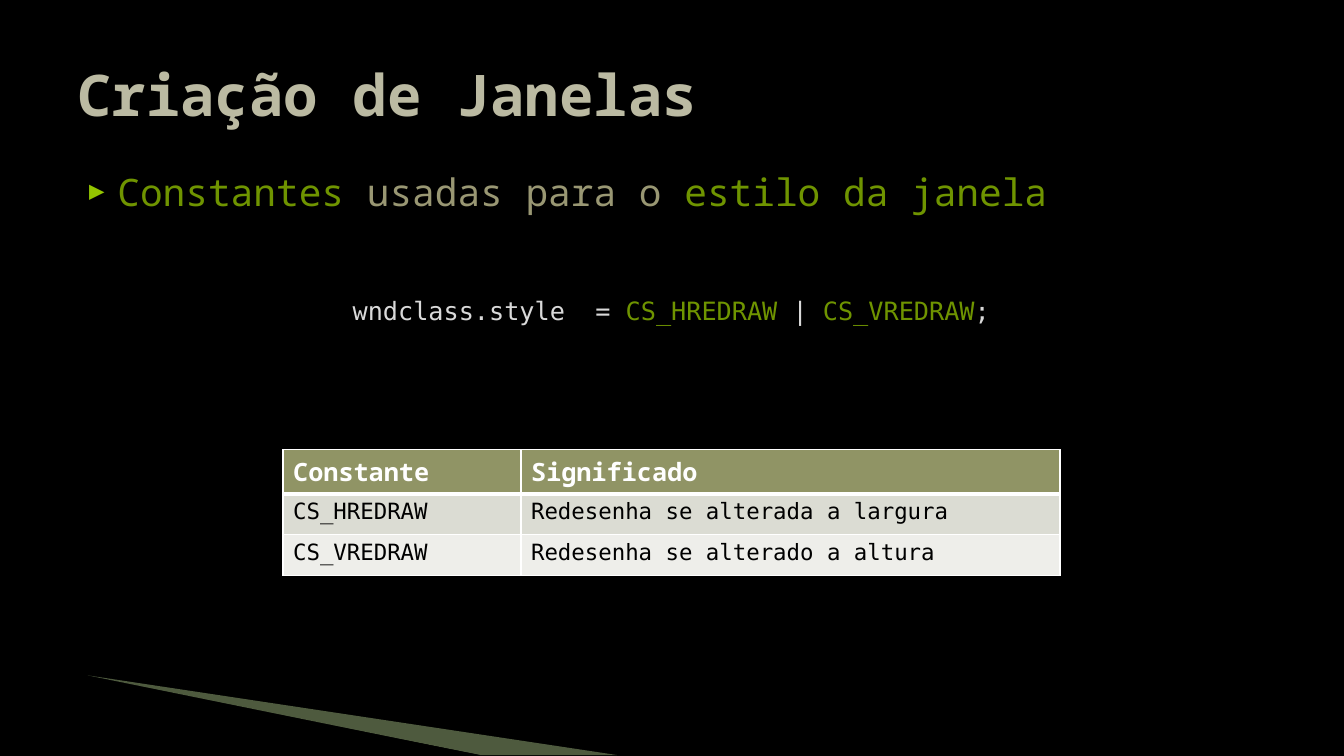
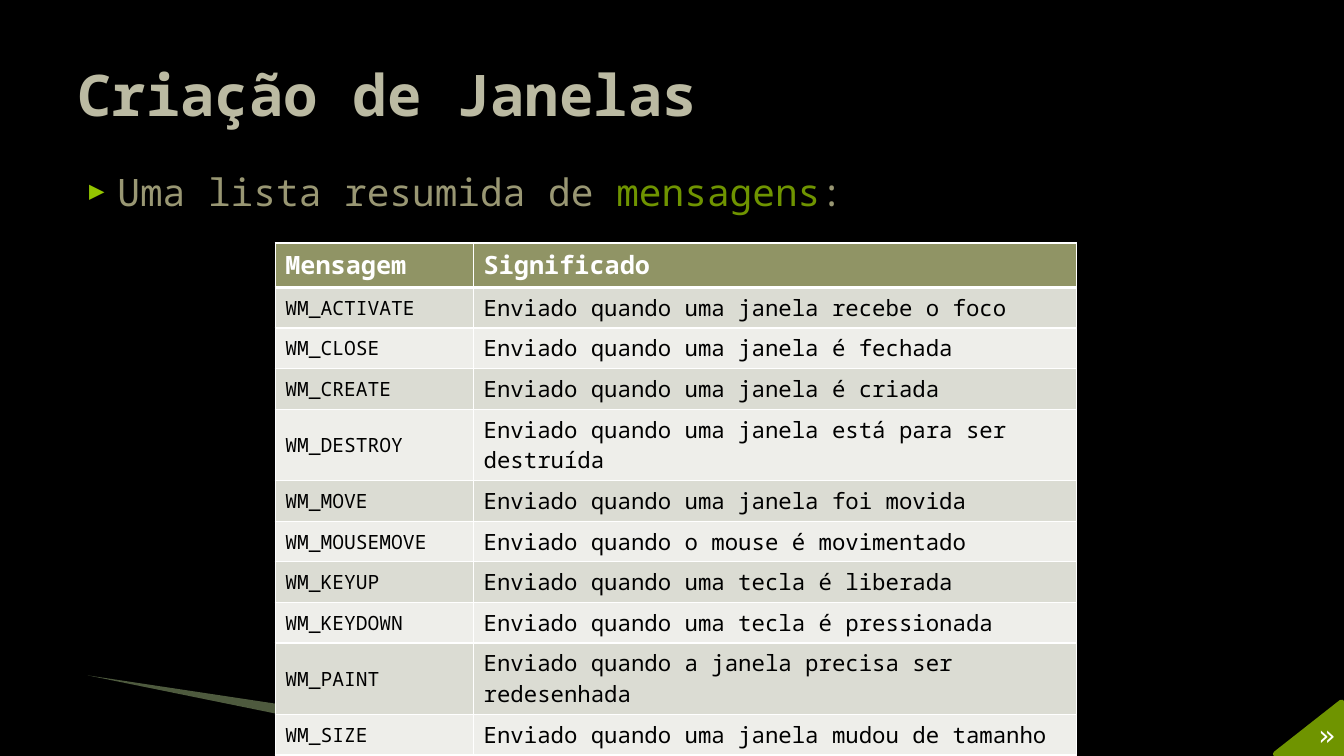
"""Build two slides on window creation: style constants and a list of messages."""
from lxml import etree
from pptx import Presentation
from pptx.dml.color import RGBColor
from pptx.enum import text
from pptx.oxml import ns
from pptx.util import Pt

BLACK = RGBColor(0x00, 0x00, 0x00)
WHITE = RGBColor(0xFF, 0xFF, 0xFF)
LIGHT_GREY = RGBColor(0xD9, 0xD9, 0xD9)
TITLE = RGBColor(0xBB, 0xBA, 0xA2)
BODY = RGBColor(0x99, 0x97, 0x73)
GREEN = RGBColor(0x6F, 0x94, 0x00)
BULLET = RGBColor(0x94, 0xC6, 0x00)
WEDGE = RGBColor(0xC3, 0xE1, 0x9D)
HEADER = RGBColor(0x90, 0x94, 0x65)
BANDS = [RGBColor(0xDB, 0xDC, 0xD3), RGBColor(0xEE, 0xEE, 0xEA)]

NOTO = "Noto Sans Mono"
DEJAVU = "DejaVu Sans Mono"
HEADER_FONT = {"name": NOTO, "size": Pt(18), "bold": True}
HEADER_HEIGHT, ROW_HEIGHT, WRAPPED_HEIGHT = 31.7, 29, 51
LINE_CHARS = 44

SLIDES = [
    {
        "body": [("Constantes", GREEN), (" usadas para o ", BODY), ("estilo da janela", GREEN)],
        "at": (202.2, 321.2),
        "cols": (170, 385),
        "fonts": [{"name": DEJAVU, "size": Pt(16), "bold": False}] * 2,
        "anchors": [text.MSO_ANCHOR.TOP] * 2,
        "rows": [
            ("Constante", "Significado"),
            ("CS_HREDRAW", "Redesenha se alterada a largura"),
            ("CS_VREDRAW", "Redesenha se alterado a altura"),
        ],
    },
    {
        "body": [("Uma lista resumida de ", BODY), ("mensagens", GREEN), (":", BODY)],
        "at": (196.6, 173.6),
        "cols": (141.7, 430.5),
        "fonts": [{"name": NOTO, "size": Pt(size), "bold": False} for size in (14, 16)],
        "anchors": [text.MSO_ANCHOR.MIDDLE, text.MSO_ANCHOR.TOP],
        "rows": [
            ("Mensagem", "Significado"),
            ("WM_ACTIVATE", "Enviado quando uma janela recebe o foco"),
            ("WM_CLOSE", "Enviado quando uma janela é fechada"),
            ("WM_CREATE", "Enviado quando uma janela é criada"),
            ("WM_DESTROY", "Enviado quando uma janela está para ser destruída"),
            ("WM_MOVE", "Enviado quando uma janela foi movida"),
            ("WM_MOUSEMOVE", "Enviado quando o mouse é movimentado"),
            ("WM_KEYUP", "Enviado quando uma tecla é liberada"),
            ("WM_KEYDOWN", "Enviado quando uma tecla é pressionada"),
            ("WM_PAINT", "Enviado quando a janela precisa ser redesenhada"),
            ("WM_SIZE", "Enviado quando uma janela mudou de tamanho"),
        ],
    },
]


def write(p, runs, font):
    """Add coloured runs that share one font format."""
    for words, color in runs:
        r = p.add_run()
        r.text = words
        for key, value in font.items():
            setattr(r.font, key, value)
        r.font.color.rgb = color


def polygon(s, points, color):
    """Draw a closed, filled outline through the points."""
    corners = [(Pt(x), Pt(y)) for x, y in points]
    builder = s.shapes.build_freeform(*corners[0])
    builder.add_line_segments(corners[1:], close=True)
    sp = builder.convert_to_shape()
    sp.shadow.inherit = False
    sp.fill.solid()
    sp.fill.fore_color.rgb = color
    sp.line.fill.background()
    return sp


prs = Presentation()
prs.slide_width, prs.slide_height = Pt(960), Pt(540)
fill = prs.slide_master.background.fill
fill.solid()
fill.fore_color.rgb = BLACK

layout = prs.slide_layouts[5]
title = layout.placeholders[0]
title.left, title.top, title.width, title.height = Pt(48), Pt(21.6), Pt(864), Pt(90)
slides = [prs.slides.add_slide(layout) for _ in SLIDES]

wedge = polygon(slides[0], [(62.6, 482.4), (440.6, 539.3), (342.7, 539.3)], WEDGE)
color = wedge.element.spPr.find(".//" + ns.qn("a:srgbClr"))
etree.SubElement(color, ns.qn("a:alpha"), val="40000")
cover = polygon(slides[0], [(60.8, 483.8), (342.7, 539.3), (283.7, 539.3)], BLACK)
for sp in (wedge, cover):
    layout.shapes.element.append(sp.element)

for s, content in zip(slides, SLIDES):
    tf = s.shapes.title.text_frame
    tf.vertical_anchor = text.MSO_ANCHOR.MIDDLE
    tf.paragraphs[0].alignment = text.PP_ALIGN.LEFT
    write(tf.paragraphs[0], [("Criação de Janelas", TITLE)],
          {"name": NOTO, "size": Pt(41), "bold": True})

    tf = s.shapes.add_textbox(Pt(48), Pt(116.6), Pt(864), Pt(356.4)).text_frame
    tf.word_wrap = True
    p = tf.paragraphs[0]
    p.space_before = Pt(4)
    write(p, content["body"], {"name": NOTO, "size": Pt(27)})
    pPr = p._p.get_or_add_pPr()
    pPr.set("marL", str(Pt(28.8)))
    pPr.set("indent", str(Pt(-20.2)))
    buClr = etree.SubElement(pPr, ns.qn("a:buClr"))
    etree.SubElement(buClr, ns.qn("a:srgbClr"), val=str(BULLET))
    etree.SubElement(pPr, ns.qn("a:buSzPct"), val="68000")
    etree.SubElement(pPr, ns.qn("a:buFont"), typeface=DEJAVU)
    etree.SubElement(pPr, ns.qn("a:buChar"), char="▶")

    rows, cols = content["rows"], content["cols"]
    heights = [HEADER_HEIGHT] + [
        WRAPPED_HEIGHT if len(meaning) > LINE_CHARS else ROW_HEIGHT for _, meaning in rows[1:]]
    x, y = content["at"]
    table = s.shapes.add_table(len(rows), len(cols), Pt(x), Pt(y), Pt(sum(cols)),
                               Pt(sum(heights))).table
    for column, width in zip(table.columns, cols):
        column.width = Pt(width)
    for i, row in enumerate(rows):
        table.rows[i].height = Pt(heights[i])
        for j, words in enumerate(row):
            cell = table.cell(i, j)
            tcPr = cell._tc.get_or_add_tcPr()
            for side in "LRTB":
                thick = (i, side) in ((0, "B"), (1, "T"))
                ln = etree.SubElement(tcPr, ns.qn("a:ln" + side), w=str(Pt(3 if thick else 1)))
                solid = etree.SubElement(ln, ns.qn("a:solidFill"))
                etree.SubElement(solid, ns.qn("a:srgbClr"), val=str(WHITE))
            cell.fill.solid()
            cell.fill.fore_color.rgb = BANDS[(i - 1) % 2] if i else HEADER
            if i:
                cell.vertical_anchor = content["anchors"][j]
            write(cell.text_frame.paragraphs[0], [(words, BLACK if i else WHITE)],
                  content["fonts"][j] if i else HEADER_FONT)

constants, messages = slides
tf = constants.shapes.add_textbox(Pt(244.8), Pt(207.4), Pt(470.9), Pt(28.8)).text_frame
write(tf.paragraphs[0],
      [("wndclass.style  = ", LIGHT_GREY), ("CS_HREDRAW", GREEN), (" | ", LIGHT_GREY),
       ("CS_VREDRAW", GREEN), (";", LIGHT_GREY)],
      {"name": DEJAVU, "size": Pt(18)})

corner = polygon(messages, [(911.5, 538.6), (958.3, 501.8), (958.3, 538.6)], GREEN)
corner.line.color.rgb = GREEN
corner.line.width = Pt(4.33)
tf = messages.shapes.add_textbox(Pt(929.5), Pt(509), Pt(31), Pt(31.7)).text_frame
tf.margin_left = Pt(12.2)
write(tf.paragraphs[0], [("»", WHITE)], {"name": DEJAVU, "size": Pt(20)})

prs.save("out.pptx")
